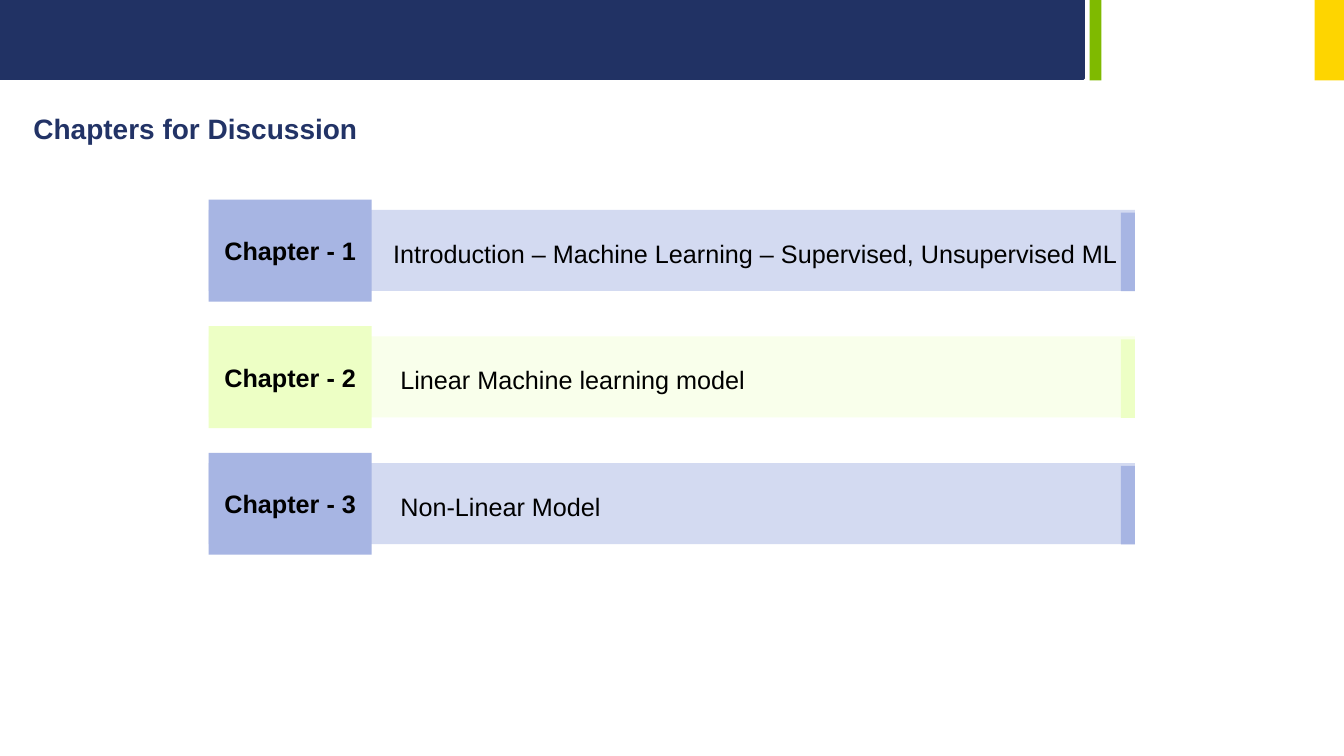
import pptx
import pptx.util
import pptx.dml.color
import pptx.enum.shapes
import pptx.enum.text

Cm = pptx.util.Cm
Pt = pptx.util.Pt
PP_ALIGN = pptx.enum.text.PP_ALIGN

COLOURS = {
    "navy": "213264",
    "green": "7FBA00",
    "yellow": "FED500",
    "heading": "223366",
    "text": "000000",
    "blue": "A7B5E3",
    "pale blue": "D3DAF1",
    "lime": "EDFFC5",
    "pale lime": "F9FFEB",
}

FRAME_FORMAT = {
    "word_wrap": True,
    "auto_size": pptx.enum.text.MSO_AUTO_SIZE.NONE,
    "vertical_anchor": pptx.enum.text.MSO_ANCHOR.MIDDLE,
    "margin_left": Cm(0.33),
    "margin_right": Cm(0.33),
    "margin_top": Cm(0.18),
    "margin_bottom": Cm(0.18),
}

CHAPTERS = [
    ("Chapter - 1", "Introduction – Machine Learning – Supervised, Unsupervised ML", "blue", 0),
    ("Chapter - 2", "Linear Machine learning model", "lime", 0.18),
    ("Chapter - 3", "Non-Linear Model", "blue", 0.18),
]
ROW_PITCH = 3.19


def rgb(colour):
    return pptx.dml.color.RGBColor.from_string(COLOURS[colour])


def set_attributes(target, values):
    for name, value in values.items():
        setattr(target, name, value)


def add_block(shapes, left, top, width, height, colour):
    block = shapes.add_shape(
        pptx.enum.shapes.MSO_SHAPE.RECTANGLE, Cm(left), Cm(top), Cm(width), Cm(height)
    )
    block.shadow.inherit = False
    block.fill.solid()
    block.fill.fore_color.rgb = rgb(colour)
    block.line.fill.background()
    return block


def write(holder, words, size, bold, colour="text", align=PP_ALIGN.LEFT, indent=0):
    frame = holder.text_frame
    set_attributes(frame, FRAME_FORMAT)
    frame.margin_left += Cm(indent)
    frame.text = words
    paragraph = frame.paragraphs[0]
    paragraph.alignment = align
    font = paragraph.runs[0].font
    set_attributes(font, {"name": "Arial", "size": Pt(size), "bold": bold})
    font.color.rgb = rgb(colour)


def add_header(slide, left, top, width, height):
    banner = add_block(slide.shapes, left, top, 27.31, height - 0.05, "navy")
    banner.line.color.rgb = rgb("navy")
    banner.line.width = Pt(2)
    add_block(slide.shapes, left + 27.46, top, 0.3, height, "green")
    add_block(slide.shapes, left + width - 0.74, top, 0.74, height, "yellow")


def add_heading(slide, left, top, width, height):
    heading = slide.shapes.title
    set_attributes(
        heading,
        {"left": Cm(left), "top": Cm(top), "width": Cm(width), "height": Cm(height)},
    )
    write(heading, "Chapters for Discussion", 20, True, "heading")


def add_chapter(slide, left, top, width, height, chapter):
    number, topic, colour, indent = chapter
    row = slide.shapes.add_group_shape().shapes
    add_block(row, left, top + 0.26, width, 2.04, "pale " + colour)
    badge = add_block(row, left, top, 4.11, height, colour)
    write(badge, number, 18, True, align=PP_ALIGN.CENTER)
    label = row.add_textbox(Cm(left + 4.32), Cm(top + 0.79), Cm(width - 4.32), Cm(1.12))
    write(label, topic, 18, False, indent=indent)
    add_block(row, left + width - 0.35, top + 0.33, 0.35, 1.98, colour)


def main():
    deck = pptx.Presentation()
    deck.slide_width = Cm(33.87)
    deck.slide_height = Cm(19.05)
    slide = deck.slides.add_slide(deck.slide_layouts.get_by_name("Title Only"))
    add_header(slide, 0, 0, 33.87, 2.03)
    add_heading(slide, 0.51, 2.64, 15.6, 1.2)
    for index, chapter in enumerate(CHAPTERS):
        add_chapter(slide, 5.26, 5.03 + index * ROW_PITCH, 23.34, 2.57, chapter)
    deck.save("out.pptx")


if __name__ == "__main__":
    main()
